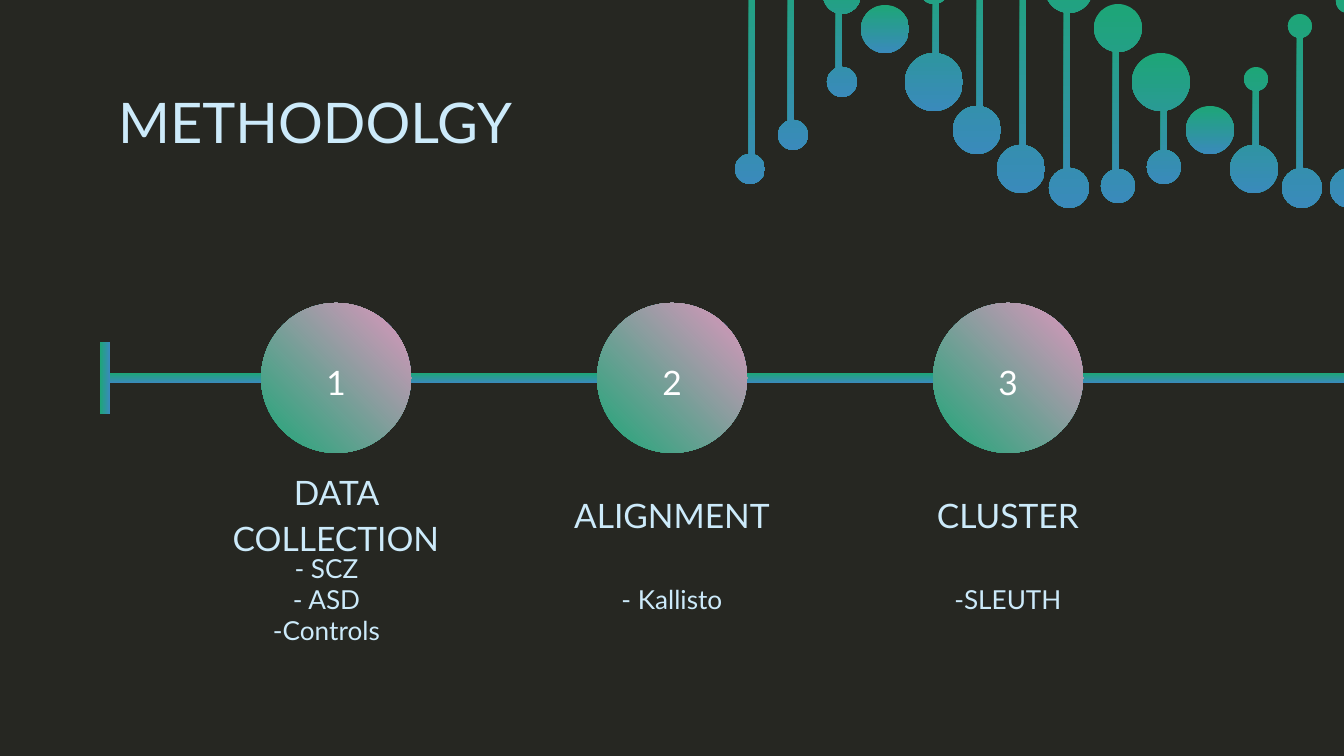
import math

from lxml import etree
from pptx import Presentation
from pptx import util as u
from pptx.dml.color import RGBColor
from pptx.enum import shapes, text
from pptx.oxml.ns import qn

PX = 914400 / 134.4
FONT = "Lato"
COLORS = {
    "background": "262722",
    "green": "1DA677",
    "blue": "3A8ABB",
    "pink": "E096BE",
    "pale": "CCEAFA",
    "white": "FFFFFF",
}
STEPS = [
    ("DATA COLLECTION", ["- SCZ", "- ASD", "-Controls"], 211, 42),
    ("ALIGNMENT", ["- Kallisto"], 272, 0),
    ("CLUSTER", ["-SLEUTH"], 272, 0),
]
STEP_GAP = 336
STEM_HALF = 3
PENDANTS = [
    (752, (750, -24, 15), (750, 169, 15)),
    (791, (793, -24, 15), (793, 135, 15)),
    (839, (842, -5, 19), (842, 82, 15)),
    (936, (934, -11, 15), (934, 82, 29)),
    (980, (977, -24, 19), (977, 130, 24)),
    (1023, (1021, -24, 19), (1021, 169, 24)),
    (1067, (1069, -11, 24), (1069, 188, 20)),
    (1116, (1118, 28, 24), (1118, 186, 17)),
    (1164, (1161, 82, 29), (1164, 167, 17)),
    (1256, (1256, 79, 12), (1254, 169, 24)),
    (1300, (1300, 26, 12), (1302, 188, 20)),
    (1348, (1348, 1, 12), (1350, 188, 20)),
]
BEADS = [(885, 29, 24), (1210, 130, 24)]


def px(length):
    return u.Emu(round(length * PX))


def color(name):
    return RGBColor.from_string(COLORS[name])


def paint(shape, first, last, angle):
    shape.shadow.inherit = False
    shape.line.fill.background()
    shape.fill.gradient()
    shape.fill.gradient_angle = angle
    for stop, name in zip(shape.fill.gradient_stops, (first, last)):
        stop.color.rgb = color(name)


def add_preset(page, kind, left, top, width, height, last="blue", angle=270):
    shape = page.shapes.add_shape(kind, px(left), px(top), px(width), px(height))
    paint(shape, "green", last, angle)


def stem_angles(stem, bead):
    x, _, radius = bead
    return [math.acos((stem + side - x) / radius) for side in (-STEM_HALF, STEM_HALF)]


def bead_points(bead, angles):
    x, y, radius = bead
    return [(px(x + radius * math.cos(a)), px(y + radius * math.sin(a))) for a in angles]


def round_corners(lines, radius, start, end):
    arc = etree.Element(qn("a:arcTo"))
    arc.set("wR", str(px(radius)))
    arc.set("hR", str(px(radius)))
    arc.set("stAng", str(round(math.degrees(start) * 60000) % 21600000))
    arc.set("swAng", str(round(math.degrees(end - start) * 60000)))
    lines[0].addprevious(arc)
    for line in lines:
        line.getparent().remove(line)


def add_pendant(page, stem, upper, lower):
    left, right = stem_angles(stem, upper)
    over = [left, math.pi, 1.5 * math.pi, 2 * math.pi, right + 2 * math.pi]
    left, right = stem_angles(stem, lower)
    under = [-right, 0, 0.5 * math.pi, math.pi, 2 * math.pi - left]
    points = bead_points(upper, over) + bead_points(lower, under)
    builder = page.shapes.build_freeform(*points[0], scale=1.0)
    builder.add_line_segments(points[1:], close=True)
    shape = builder.convert_to_shape()
    lines = list(shape._element.iter(qn("a:lnTo")))
    round_corners(lines[:4], upper[2], over[0], over[-1])
    round_corners(lines[5:9], lower[2], under[0], under[-1])
    paint(shape, "green", "blue", 270)


def add_text(page, lines, left, top, width, height, size, name="pale",
             align=text.PP_ALIGN.CENTER, anchor=text.MSO_ANCHOR.MIDDLE):
    box = page.shapes.add_textbox(px(left), px(top), px(width), px(height))
    frame = box.text_frame
    frame.word_wrap = True
    frame.vertical_anchor = anchor
    frame.margin_left = frame.margin_right = u.Inches(0.1)
    frame.margin_top = frame.margin_bottom = u.Inches(0.1)
    frame.text = "\n".join(lines)
    for para in frame.paragraphs:
        para.alignment = align
        for span in para.runs:
            span.font.name = FONT
            span.font.size = u.Pt(size)
            span.font.color.rgb = color(name)
    return frame.paragraphs


def add_step(page, index, heading, items, item_width, indent):
    shift = index * STEP_GAP
    add_preset(page, shapes.MSO_SHAPE.OVAL, 261 + shift, 303, 150, 150, "pink", 45)
    add_text(page, [str(index + 1)], 261 + shift, 348, 150, 59, 18, "white",
             anchor=text.MSO_ANCHOR.TOP)
    for para in add_text(page, items, 200 + shift, 548, item_width, 102, 14):
        para._p.get_or_add_pPr().set("marL", str(px(indent)))
    for para in add_text(page, [heading], 200 + shift, 476, 272, 72, 18):
        para.line_spacing = 1.15
        para.space_after = u.Pt(12)


def main():
    deck = Presentation()
    deck.slide_width, deck.slide_height = px(1344), px(756)
    page = deck.slides.add_slide(deck.slide_layouts[6])
    page.background.fill.solid()
    page.background.fill.fore_color.rgb = color("background")

    add_preset(page, shapes.MSO_SHAPE.RECTANGLE, 105, 373, 1239, 10)
    add_preset(page, shapes.MSO_SHAPE.RECTANGLE, 100, 342, 10, 72, angle=0)
    add_text(page, ["METHODOLGY"], 105, 79, 1134, 85, 30, align=text.PP_ALIGN.LEFT)
    for index, step in enumerate(STEPS):
        add_step(page, index, *step)
    for pendant in PENDANTS:
        add_pendant(page, *pendant)
    for x, y, radius in BEADS:
        add_preset(page, shapes.MSO_SHAPE.OVAL, x - radius, y - radius, 2 * radius, 2 * radius)
    deck.save("out.pptx")


if __name__ == "__main__":
    main()
